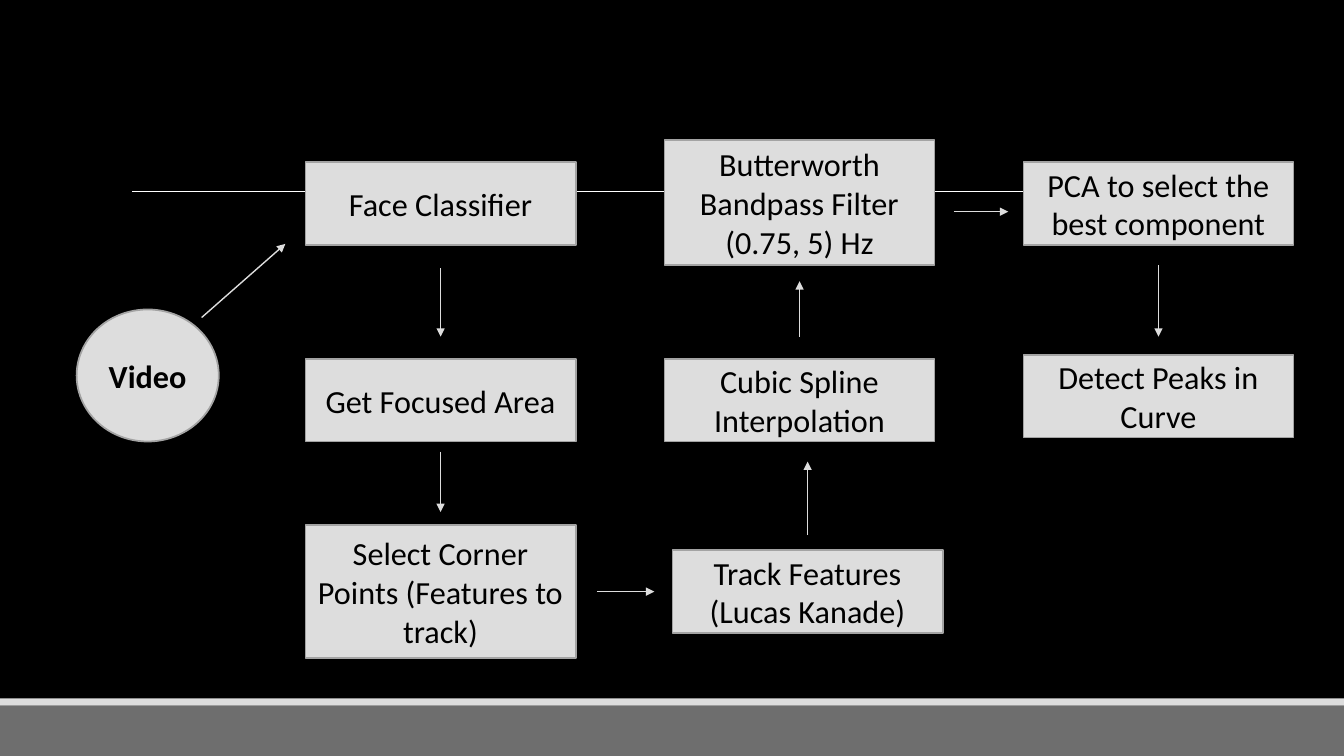
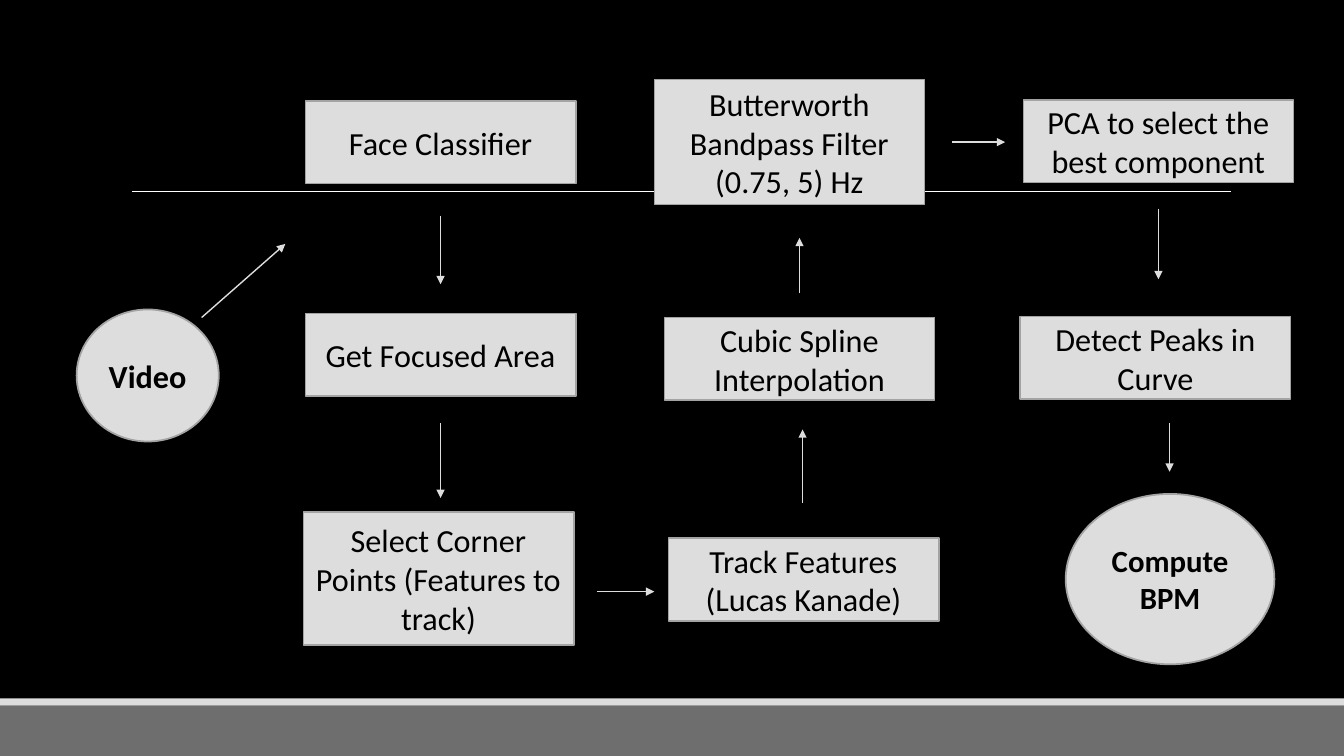
from pptx import Presentation
from pptx.dml.color import RGBColor
from pptx.enum.shapes import MSO_CONNECTOR as Link, MSO_SHAPE as Kind
from pptx.enum.text import MSO_ANCHOR as Anchor, PP_ALIGN as Align
from pptx.oxml.ns import qn
from pptx.util import Inches, Pt
from lxml import etree

# Shared look
BLACK = RGBColor(0x00, 0x00, 0x00)
WHITE = RGBColor(0xFF, 0xFF, 0xFF)
LIGHT = RGBColor(0xDD, 0xDD, 0xDD)
EDGE = RGBColor(0xA3, 0xA3, 0xA3)
GREY = RGBColor(0x6E, 0x6E, 0x6E)
WIDE, HIGH = 13.33, 7.5
STEP = 2.68  # width of every step box
VIDEO = (0.76, 3.07, 1.41, 1.31)

# Steps in the order of the flow: text and box height
STEPS = [
    ("Face Classifier", 0.82),
    ("Get Focused Area", 0.82),
    ("Select Corner Points (Features to track)", 1.32),
    ("Track Features\v(Lucas Kanade)", 0.82),
    ("Cubic Spline Interpolation", 0.82),
    ("Butterworth Bandpass Filter\n(0.75, 5) Hz", 1.24),
    ("PCA to select the best component", 0.82),
    ("Detect Peaks in Curve", 0.82),
]

# Arrows that both slides have
COMMON = [(2, 3.15, 2.83, 2.42), (5.92, 5.87, 6.49, 5.87)]

# Per slide: corner of each step, arrows, and the closing circle
FLOWS = [
    {
        "spots": [(3.03, 1.61), (3.03, 3.56), (3.03, 5.21), (6.67, 5.46),
                  (6.59, 3.56), (6.59, 1.39), (10.15, 1.61), (10.15, 3.52)],
        "arrows": [(4.37, 2.66, 4.37, 3.34), (4.37, 4.48, 4.37, 5.08),
                   (8.01, 5.31, 8.01, 4.58), (7.93, 3.34, 7.93, 2.79),
                   (9.46, 2.1, 10, 2.1), (11.49, 2.63, 11.49, 3.34)],
    },
    {
        "spots": [(3.03, 1), (3.03, 3.11), (3.01, 5.08), (6.63, 5.34),
                  (6.59, 3.15), (6.49, 0.79), (10.15, 0.99), (10.12, 3.14)],
        "arrows": [(4.37, 2.14, 4.37, 2.82), (4.37, 4.2, 4.37, 4.94),
                   (7.96, 4.99, 7.96, 4.26), (7.93, 2.91, 7.93, 2.36),
                   (9.44, 1.41, 9.97, 1.41), (11.49, 2.07, 11.49, 2.77),
                   (11.6, 4.2, 11.6, 4.68)],
        "result": (10.57, 4.9, 2.07, 1.69),
    },
]


def add_box(slide, kind, box, fill, edge=None):
    shape = slide.shapes.add_shape(kind, *map(Inches, box))
    shape.shadow.inherit = False
    shape.fill.solid()
    shape.fill.fore_color.rgb = fill
    if edge is None:
        shape.line.fill.background()
    else:
        shape.line.color.rgb = edge
        shape.line.width = Pt(1.25)
    return shape


def add_node(slide, kind, box, text, size=23, bold=False):
    shape = add_box(slide, kind, box, LIGHT, EDGE)
    frame = shape.text_frame
    frame.word_wrap = True
    frame.vertical_anchor = Anchor.MIDDLE
    frame.text = text
    style = {"name": "Calibri", "size": Pt(size), "bold": bold}
    for para in frame.paragraphs:
        para.alignment = Align.CENTER
        for run in para.runs:
            for key, value in style.items():
                setattr(run.font, key, value)
            run.font.color.rgb = BLACK


def add_line(slide, ends, color, width, arrow=False):
    line = slide.shapes.add_connector(Link.STRAIGHT, *map(Inches, ends))
    line.line.color.rgb = color
    line.line.width = Pt(width)
    if arrow:
        stroke = line.line._get_or_add_ln()
        etree.SubElement(stroke, qn("a:tailEnd"), type="triangle")
    etree.SubElement(line.element.spPr, qn("a:effectLst"))
    return line


def set_master(deck, slide):
    """Draw the shared parts once and move them to the master."""
    master = deck.slide_master
    master.background.fill.solid()
    master.background.fill.fore_color.rgb = BLACK
    parts = [
        add_box(slide, Kind.RECTANGLE, (0, 7, WIDE, 0.5), GREY),
        add_box(slide, Kind.RECTANGLE, (0, 6.93, WIDE, 0.07), LIGHT),
        add_line(slide, (1.31, 1.9, 12.21, 1.9), WHITE, 0.5),
    ]
    for number, part in enumerate(parts, 101):
        part.element.xpath(".//p:cNvPr")[0].set("id", str(number))
        master.shapes.element.append(part.element)


def add_flow(slide, spots, arrows, result=None):
    add_node(slide, Kind.OVAL, VIDEO, "Video", bold=True)
    for (left, top), (text, height) in zip(spots, STEPS):
        add_node(slide, Kind.RECTANGLE, (left, top, STEP, height), text)
    for ends in COMMON + arrows:
        add_line(slide, ends, LIGHT, 1, arrow=True)
    if result:
        add_node(slide, Kind.OVAL, result, "Compute BPM", 22, True)


def main():
    deck = Presentation()
    deck.slide_width, deck.slide_height = Inches(WIDE), Inches(HIGH)
    blank = deck.slide_layouts[6]
    slides = [deck.slides.add_slide(blank) for _ in FLOWS]
    set_master(deck, slides[0])
    for slide, flow in zip(slides, FLOWS):
        add_flow(slide, **flow)
    deck.save("out.pptx")


if __name__ == "__main__":
    main()
